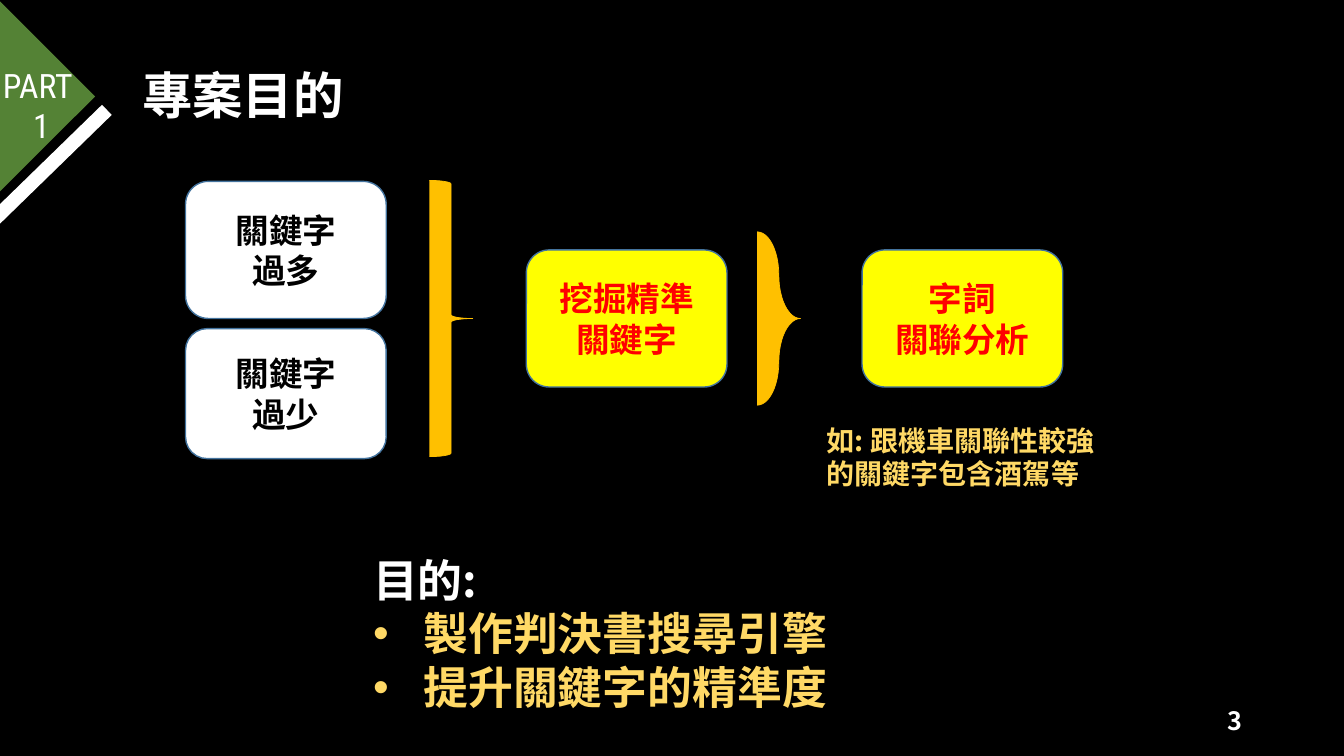
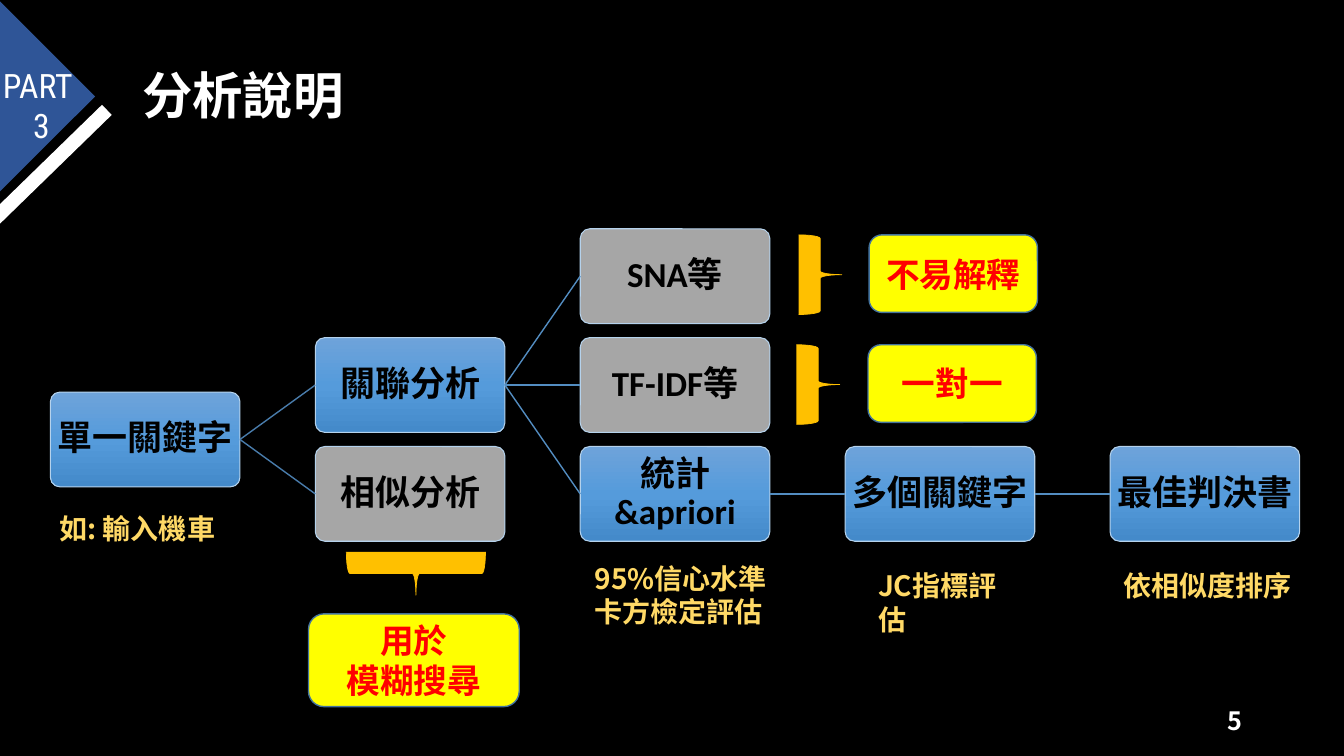
from copy import deepcopy
from dataclasses import dataclass

from lxml import etree
from pptx import Presentation, util as u
from pptx.dml.color import RGBColor
from pptx.enum import shapes as es, text as et
from pptx.oxml.ns import qn

PX = 9144  # 100 px to the inch
KIND, ALIGN, ANCHOR = es.MSO_SHAPE, et.PP_ALIGN, et.MSO_ANCHOR


@dataclass(frozen=True)
class Look:
    size: int
    color: str
    font: str = "Noto Sans CJK SC"
    bold: bool = True
    align: ALIGN = ALIGN.LEFT


class Theme:
    back, white, gold, yellow = "000000", "FFFFFF", "FFC000", "FFFF00"
    gray, edge, rim = "A6A6A6", "43739E", "B5D2EC"
    blue = ((0, "6EA3DA"), (0.5, "559BDB"), (1, "448ACA"))
    near, far = "497CAB", "538DC1"
    asian = "Noto Sans CJK SC"
    title = Look(36, white)
    corner = Look(24, white, "Roboto Condensed", False)
    head = Look(32, white)
    item = Look(32, "FFD966")
    note = Look(20, "FFD966")
    page = Look(18, white, align=ALIGN.RIGHT)
    plain = Look(24, back, "Calibri", align=ALIGN.CENTER)
    alert = Look(24, "FF0000", "Calibri", align=ALIGN.CENTER)
    node = Look(25, back, "Calibri", align=ALIGN.CENTER)


# Content: boxes are (left, top, width, height) in px
GOAL = {
    "title": "專案目的", "number": "1", "page": "3", "tint": "548235",
    "body": ((360, 543, 613, 172),
             ["目的:", "製作判決書搜尋引擎", "提升關鍵字的精準度"]),
    "cards": [
        ((184, 180, 199, 136), ["關鍵字", "過多"], False),
        ((184, 326, 199, 129), ["關鍵字", "過少"], False),
        ((522, 248, 199, 136), ["挖掘精準", "關鍵字"], True),
        ((855, 248, 199, 136), ["字詞", "關聯分析"], True),
    ],
    "braces": [((426, 179, 43, 274), 0, None),
               ((751, 230, 43, 172), 0, 1.585)],
    "notes": [((810, 415, 289, 77),
               ["如: 跟機車關聯性較強的關鍵字包含酒駕等"])],
}
FLOW = {
    "title": "分析說明", "number": "3", "page": "5", "tint": "2F5597",
    # name: (column, row, live)
    "nodes": {
        "單一關鍵字": (0, 1.5, True),
        "關聯分析": (1, 1, True),
        "相似分析": (1, 2, False),
        "SNA等": (2, 0, False),
        "TF-IDF等": (2, 1, False),
        "統計&apriori": (2, 2, True),
        "多個關鍵字": (3, 2, True),
        "最佳判決書": (4, 2, True),
    },
    "links": [
        ("單一關鍵字", "關聯分析"), ("單一關鍵字", "相似分析"),
        ("關聯分析", "SNA等"), ("關聯分析", "TF-IDF等"),
        ("關聯分析", "統計&apriori"), ("統計&apriori", "多個關鍵字"),
        ("多個關鍵字", "最佳判決書"),
    ],
    "cards": [
        ((862, 233, 167, 77), ["不易解釋"], True),
        ((861, 342, 167, 77), ["一對一"], True),
        ((306, 609, 209, 92), ["用於", "模糊搜尋"], True),
    ],
    "braces": [((792, 233, 43, 79), 0, None),
               ((790, 342, 43, 79), 0, None),
               ((391, 500, 43, 138), 90, None)],
    "notes": [
        ((49, 503, 178, 44), ["如: 輸入機車"]),
        ((580, 552, 199, 77), ["95%信心水準", "卡方檢定評估"]),
        ((861, 559, 162, 44), ["JC指標評估"]),
        ((1104, 559, 193, 44), ["依相似度排序"]),
    ],
}
# Node grid
LEFT, TOP, STEP, RISE, WIDE, HIGH = 50, 227, 262.75, 108, 188, 94


def emu(*vals):
    return [u.Emu(round(v * PX)) for v in vals]


def rgb(code):
    return RGBColor.from_string(code)


# Text
def write(frame, lines, look, anchor=ANCHOR.TOP):
    frame.word_wrap = True
    frame.auto_size = et.MSO_AUTO_SIZE.NONE
    frame.vertical_anchor = anchor
    for i, line in enumerate(lines):
        para = frame.paragraphs[0] if i == 0 else frame.add_paragraph()
        para.alignment = look.align
        para.space_before = u.Pt(0)
        run = para.add_run()
        run.text = line
        style(run, look)
    return frame.paragraphs


def style(run, look):
    font = run.font
    font.size, font.bold, font.name = u.Pt(look.size), look.bold, look.font
    font.color.rgb = rgb(look.color)
    props = run._r.get_or_add_rPr()
    for old in props.findall(qn("a:ea")):
        props.remove(old)
    asian = etree.Element(qn("a:ea"), typeface=Theme.asian)
    props.find(qn("a:latin")).addnext(asian)


def indent(para, left, first=0, mark=None):
    props = para._p.get_or_add_pPr()
    props.set("marL", str(left * PX))
    props.set("indent", str(first * PX))
    if mark:
        etree.SubElement(props, qn("a:buFont"), typeface="Arial")
        etree.SubElement(props, qn("a:buChar"), char=mark)
    else:
        etree.SubElement(props, qn("a:buNone"))


def label(slide, box, lines, look, anchor=ANCHOR.TOP):
    area = slide.shapes.add_textbox(*emu(*box))
    return write(area.text_frame, lines, look, anchor)


def place(holder, box):
    holder.left, holder.top, holder.width, holder.height = emu(*box)
    return holder.text_frame


# Shapes
def shape(slide, kind, box, fill, line=None, weight=1):
    form = slide.shapes.add_shape(kind, *emu(*box))
    form.shadow.inherit = False
    if isinstance(fill, str):
        form.fill.solid()
        form.fill.fore_color.rgb = rgb(fill)
    else:
        blend(form, fill)
    if line:
        form.line.color.rgb = rgb(line)
        form.line.width = u.Pt(weight)
    else:
        form.line.fill.background()
    return form


def blend(form, stops):
    form.fill.gradient()
    form.fill.gradient_angle = 270
    group = form._element.spPr.find(".//" + qn("a:gsLst"))
    group.append(deepcopy(group[0]))
    for stop, (pos, code) in zip(form.fill.gradient_stops, stops):
        stop.position = pos
        stop.color.rgb = rgb(code)


def wire(slide, ends, color, weight):
    line = slide.shapes.add_connector(es.MSO_CONNECTOR.STRAIGHT, *emu(*ends))
    line.line.color.rgb = rgb(color)
    line.line.width = u.Pt(weight)
    etree.SubElement(line._element.spPr, qn("a:effectLst"))
    return line


# Title, corner mark and page number
def frame(deck, data):
    layout = deck.slide_layouts[1 if "body" in data else 5]
    slide = deck.slides.add_slide(layout)
    write(place(slide.shapes.title, (131, 59, 543, 71)),
          [data["title"]], Theme.title)
    corner = shape(slide, KIND.RIGHT_TRIANGLE, (-69, 28, 135, 136),
                   data["tint"])
    corner.rotation = 225
    wire(slide, (-7, 219, 106, 109), Theme.white, 10)
    paras = label(slide, (-7, 59, 101, 91), ["PART", data["number"]],
                  Theme.corner)
    indent(paras[1], 30)
    label(slide, (942, 695, 300, 40), [data["page"]], Theme.page,
          ANCHOR.MIDDLE)
    return slide


# Cards, braces and notes
def extras(slide, data):
    for box, lines, hot in data["cards"]:
        card = shape(slide, KIND.ROUNDED_RECTANGLE, box,
                     Theme.yellow if hot else Theme.white, Theme.edge)
        write(card.text_frame, lines, Theme.alert if hot else Theme.plain,
              ANCHOR.MIDDLE)
    for box, turn, curl in data["braces"]:
        brace = shape(slide, KIND.RIGHT_BRACE, box, Theme.gold,
                      Theme.gold, 0.5)
        brace.rotation = turn
        if curl:
            brace.adjustments[0] = curl
    for box, lines in data["notes"]:
        label(slide, box, lines, Theme.note)


# Bulleted goals
def goals(slide, data):
    box, lines = data["body"]
    area = place(slide.placeholders[1], box)
    head, *items = write(area, lines, Theme.head)
    indent(head, 0)
    for para in items:
        style(para.runs[0], Theme.item)
        indent(para, 50, -50, "•")


# Tree of analysis steps
def tree(slide, data):
    made = {}
    for name, (col, row, live) in data["nodes"].items():
        box = (LEFT + STEP * col, TOP + RISE * row, WIDE, HIGH)
        node = shape(slide, KIND.ROUNDED_RECTANGLE, box,
                     Theme.blue if live else Theme.gray, Theme.rim, 0.75)
        node.adjustments[0] = 0.1
        area = node.text_frame
        area.margin_left = area.margin_right = u.Emu(2 * PX)
        area.margin_top = area.margin_bottom = u.Emu(2 * PX)
        write(area, [name], Theme.node, ANCHOR.MIDDLE)[0].line_spacing = 0.9
        made[name] = node
    for start, end in data["links"]:
        first = data["nodes"][start][0] == 0
        line = wire(slide, (0, 0, 0, 0), Theme.near if first else Theme.far, 1)
        line.begin_connect(made[start], 3)
        line.end_connect(made[end], 1)


def main():
    deck = Presentation()
    deck.slide_width, deck.slide_height = emu(1333, 750)
    back = deck.slide_master.background.fill
    back.solid()
    back.fore_color.rgb = rgb(Theme.back)
    for data, draw in ((GOAL, goals), (FLOW, tree)):
        slide = frame(deck, data)
        draw(slide, data)
        extras(slide, data)
    deck.save("out.pptx")


if __name__ == "__main__":
    main()
